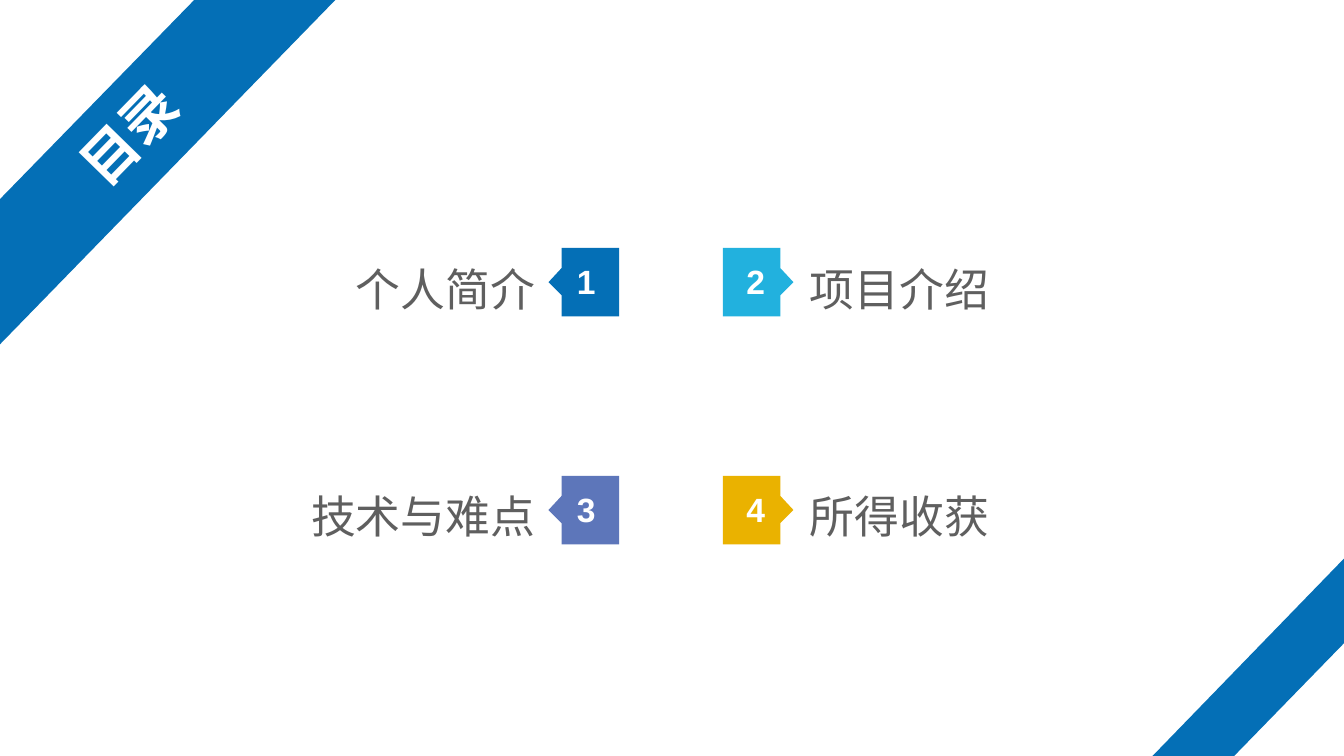
import math

import pptx
import pptx.dml.color
import pptx.enum.text
import pptx.util

Inches = pptx.util.Inches
ALIGN = pptx.enum.text.PP_ALIGN
BLUE, CYAN, VIOLET, AMBER = "046FB6", "22B1DE", "5D76BA", "EAB200"
WHITE, GREY = "FFFFFF", "5F5F5F"


def colour(value):
    return pptx.dml.color.RGBColor.from_string(value)


class AgendaSlide:
    font = "Arial"

    def __init__(self, slide):
        self.slide = slide

    def set_text(self, shape, text, size, text_colour, align, margins, spacing=None, bold=False):
        frame = shape.text_frame
        frame.text = text
        frame.word_wrap = True
        frame.vertical_anchor = pptx.enum.text.MSO_ANCHOR.MIDDLE
        (frame.margin_left, frame.margin_top,
         frame.margin_right, frame.margin_bottom) = map(Inches, margins)
        paragraph = frame.paragraphs[0]
        paragraph.alignment = align
        if spacing:
            paragraph.line_spacing = spacing
        font = paragraph.runs[0].font
        font.name, font.size, font.bold = self.font, pptx.util.Pt(size), bold
        font.color.rgb = colour(text_colour)

    def outline(self, shapes, points, fill):
        corners = [(Inches(x), Inches(y)) for x, y in points]
        builder = shapes.build_freeform(*corners[0])
        builder.add_line_segments(corners[1:], close=True)
        shape = builder.convert_to_shape()
        shape.shadow.inherit = False
        shape.fill.solid()
        shape.fill.fore_color.rgb = colour(fill)
        shape.line.fill.background()
        return shape

    def ribbon(self, points, centre, angle):
        """Lay the ribbon flat around its centre, then turn it to its angle."""
        cx, cy = centre
        cos, sin = math.cos(math.radians(angle)), math.sin(math.radians(angle))
        flat = [(cx + (x - cx) * cos + (y - cy) * sin,
                 cy - (x - cx) * sin + (y - cy) * cos) for x, y in points]
        shape = self.outline(self.slide.shapes, flat, BLUE)
        shape.rotation = angle
        return shape

    def entry(self, number, title, fill, top):
        on_right = number % 2 == 0
        base, side = (7.17, 1) if on_right else (6.14, -1)
        group = self.slide.shapes.add_group_shape()
        # Numbered tag pointing at its title
        profile = [(0, 0), (0.57, 0), (0.57, 0.2), (0.7, 0.34),
                   (0.57, 0.47), (0.57, 0.68), (0, 0.68)]
        tag = self.outline(group.shapes, [(base + side * x, top + y) for x, y in profile], fill)
        margins = (0, 0, 0.05, 0.02) if on_right else (0.05, 0, 0, 0.02)
        self.set_text(tag, str(number), 24, WHITE, ALIGN.CENTER, margins, bold=True)
        # Title beside the tag
        left = 7.97 if on_right else 1.53
        label = group.shapes.add_textbox(
            Inches(left), Inches(top - 0.12), Inches(3.84), Inches(0.93))
        self.set_text(label, title, 32, GREY, ALIGN.LEFT if on_right else ALIGN.RIGHT,
                      (0.06, 0, 0.06, 0), spacing=1.2)


def main():
    deck = pptx.Presentation()
    deck.slide_width, deck.slide_height = Inches(13.33), Inches(7.5)
    agenda = AgendaSlide(deck.slides.add_slide(deck.slide_layouts[6]))

    # Agenda entries, two per row
    entries = [("个人简介", BLUE), ("项目介绍", CYAN), ("技术与难点", VIOLET), ("所得收获", AMBER)]
    for index, (title, fill) in enumerate(entries):
        agenda.entry(index + 1, title, fill, 2.46 + 2.26 * (index // 2))

    # Corner ribbons, the upper one with the heading
    heading = agenda.ribbon([(3.33, -0.01), (-0.01, 3.42), (-0.01, 1.98), (1.93, -0.01)],
                            (1.3, 1.36), 314.3)
    agenda.set_text(heading, "目录", 40, WHITE, ALIGN.CENTER, (0, 0, 0, 0), spacing=0.9, bold=True)
    agenda.ribbon([(11.4, 7.51), (13.33, 5.52), (13.33, 6.36), (12.21, 7.51)],
                  (12.58, 6.72), 134.3)

    deck.save("out.pptx")


if __name__ == "__main__":
    main()
